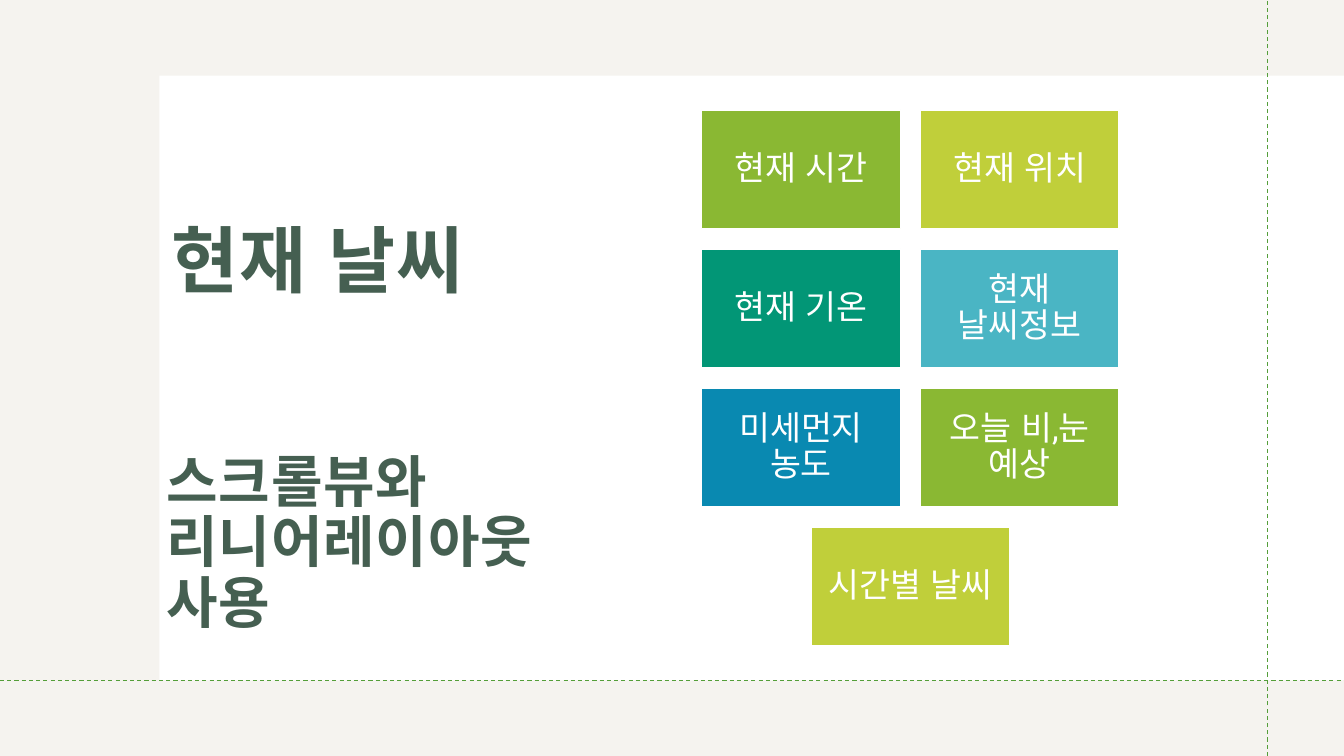
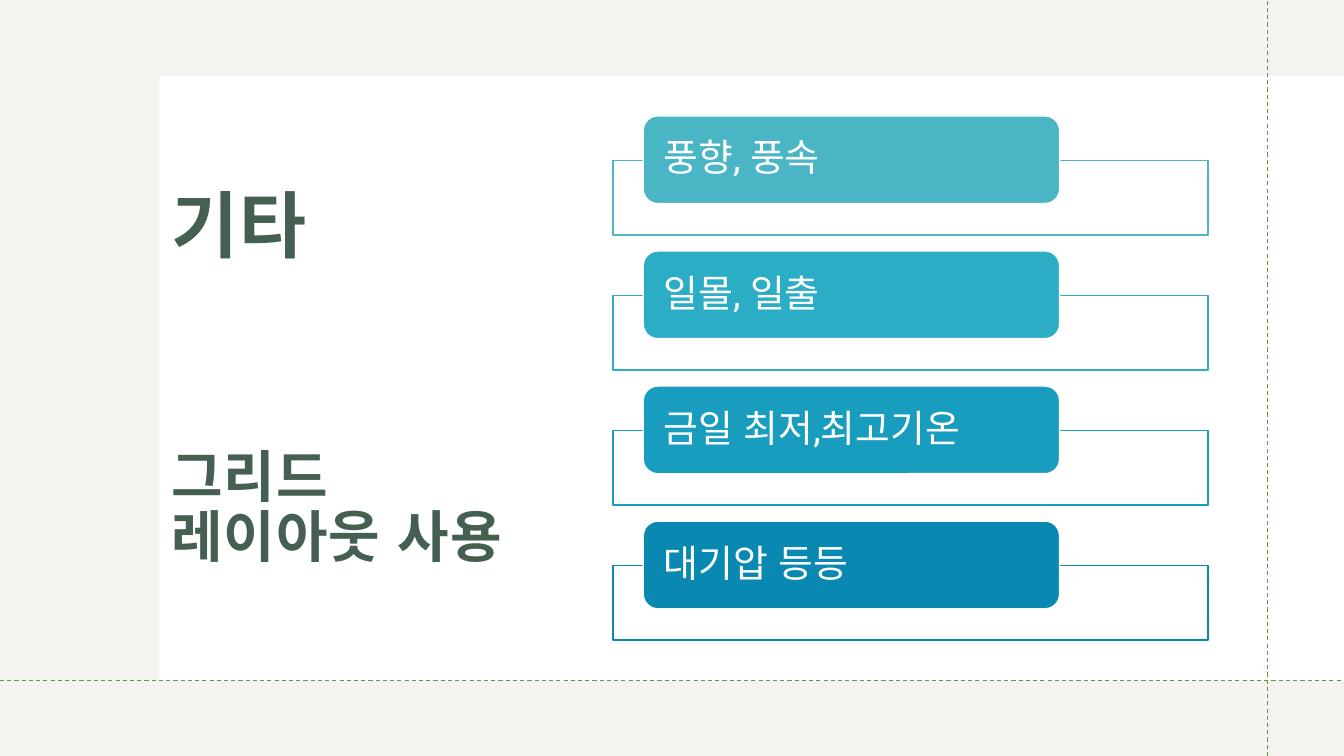
import pptx
import pptx.util
import pptx.dml.color
import pptx.enum.dml
import pptx.enum.lang
import pptx.enum.shapes
import pptx.enum.text
import lxml.etree
from dataclasses import dataclass
from pptx.util import Inches

# Content
WEATHER = {
    "title": "현재 날씨", "title_top": -0.01,
    "layout_note": "스크롤뷰와 리니어레이아웃 사용", "note_at": (1.53, 3.5),
}
WEATHER_ROWS = [
    [("현재 시간", "8AB833"), ("현재 위치", "C0CF3A")],
    [("현재 기온", "029676"), ("현재 날씨정보", "4AB5C4")],
    [("미세먼지 농도", "0989B1"), ("오늘 비,눈 예상", "8AB833")],
    [("시간별 날씨", "C0CF3A")],
]
EXTRAS = {
    "title": "기타", "title_top": -0.36,
    "layout_note": "그리드 레이아웃 사용", "note_at": (1.58, 3.15),
}
EXTRA_ITEMS = [
    ("풍향, 풍속", "4AB5C4"),
    ("일몰, 일출", "2CADC6"),
    ("금일 최저,최고기온", "189DBE"),
    ("대기압 등등", "0989B1"),
]


# Theme
@dataclass(frozen=True)
class Theme:
    font: str = "Roboto"
    backdrop: str = "F5F3EF"
    white: str = "FFFFFF"
    heading: str = "455F51"
    guide: str = "549E39"
    title_size: int = 52
    note_size: int = 40
    card_size: int = 24
    item_size: int = 27


THEME = Theme()
SHAPE = pptx.enum.shapes.MSO_SHAPE
ALIGN = pptx.enum.text.PP_ALIGN
HEADING_MARGINS = (0.12, 0.12, 0.12, 0.1)


def rgb(code):
    return pptx.dml.color.RGBColor.from_string(code)


def write(holder, text, *, size, color=THEME.white, bold=False, align=ALIGN.LEFT,
          margins=(0.1, 0.1, 0.1, 0.1), tracking=0):
    """Put one formatted, vertically centred paragraph in a shape."""
    frame = holder.text_frame
    frame.auto_size = pptx.enum.text.MSO_AUTO_SIZE.NONE
    frame.word_wrap = True
    frame.vertical_anchor = pptx.enum.text.MSO_ANCHOR.MIDDLE
    (frame.margin_left, frame.margin_top,
     frame.margin_right, frame.margin_bottom) = map(Inches, margins)
    paragraph = frame.paragraphs[0]
    paragraph.alignment = align
    paragraph.line_spacing = 0.9
    run = paragraph.add_run()
    run.text = text
    run.font.name = THEME.font
    run.font.size = pptx.util.Pt(size)
    run.font.bold = bold
    run.font.color.rgb = rgb(color)
    run.font.language_id = pptx.enum.lang.MSO_LANGUAGE_ID.KOREAN
    if tracking:
        run.font._element.set("spc", str(round(tracking * 100)))


def add_block(slide, kind, left, top, width, height, fill, outline=None):
    block = slide.shapes.add_shape(kind, *map(Inches, (left, top, width, height)))
    block.shadow.inherit = False
    block.fill.solid()
    block.fill.fore_color.rgb = rgb(fill)
    if outline:
        block.line.color.rgb = rgb(outline)
        block.line.width = pptx.util.Pt(1)
    else:
        block.line.fill.background()
    return block


def add_guide(slide, *ends):
    guide = slide.shapes.add_connector(
        pptx.enum.shapes.MSO_CONNECTOR.STRAIGHT, *map(Inches, ends))
    guide.line.color.rgb = rgb(THEME.guide)
    guide.line.width = pptx.util.Pt(0.75)
    guide.line.dash_style = pptx.enum.dml.MSO_LINE.DASH
    lxml.etree.SubElement(guide._element.spPr, pptx.oxml.ns.qn("a:effectLst"))


def add_page(deck, page):
    """Start a slide with the white panel, guides, title and layout note."""
    slide = deck.slides.add_slide(deck.slide_layouts[5])
    panel = add_block(slide, SHAPE.RECTANGLE, 1.58, 0.75, 11.75, 6, THEME.white)
    slide.shapes._spTree.insert(2, panel._element)  # behind the title
    add_guide(slide, 12.57, 7.5, 12.57, 0)
    add_guide(slide, 0, 6.75, 13.33, 6.75)

    title = slide.shapes.title
    title.left, title.top, title.width, title.height = map(
        Inches, (1.58, page["title_top"], 5.32, 5.24))
    note = slide.shapes.add_textbox(*map(Inches, (*page["note_at"], 4, 3.79)))
    for holder, text, size in ((title, page["title"], THEME.title_size),
                               (note, page["layout_note"], THEME.note_size)):
        write(holder, text, size=size, color=THEME.heading, bold=True,
              margins=HEADING_MARGINS, tracking=0.7)
    return slide


deck = pptx.Presentation()
deck.slide_width, deck.slide_height = Inches(13.33), Inches(7.5)
backdrop = deck.slide_master.background.fill
backdrop.solid()
backdrop.fore_color.rgb = rgb(THEME.backdrop)

# Current weather: rows of cards, each row centred
CARD_W, CARD_H, GAP = 1.97, 1.18, 0.2
GRID_CENTER, GRID_TOP = 9.03, 1.09
weather = add_page(deck, WEATHER)
for row, cards in enumerate(WEATHER_ROWS):
    row_width = len(cards) * (CARD_W + GAP) - GAP
    for column, (label, color) in enumerate(cards):
        card = add_block(weather, SHAPE.RECTANGLE,
                         GRID_CENTER - row_width / 2 + column * (CARD_W + GAP),
                         GRID_TOP + row * (CARD_H + GAP),
                         CARD_W, CARD_H, color, THEME.white)
        write(card, label, size=THEME.card_size, align=ALIGN.CENTER)

# Other information: tabs over outlined frames
TAB_TOP, PITCH, FRAME_DROP = 1.15, 1.34, 0.44
extras = add_page(deck, EXTRAS)
for index, (label, color) in enumerate(EXTRA_ITEMS):
    top = TAB_TOP + index * PITCH
    add_block(extras, SHAPE.RECTANGLE, 6.08, top + FRAME_DROP, 5.9, 0.74,
              THEME.white, color)
    tab = add_block(extras, SHAPE.ROUNDED_RECTANGLE, 6.38, top, 4.13, 0.87,
                    color, THEME.white)
    write(tab, label, size=THEME.item_size, margins=(0.16, 0, 0.16, 0))

deck.save("out.pptx")
